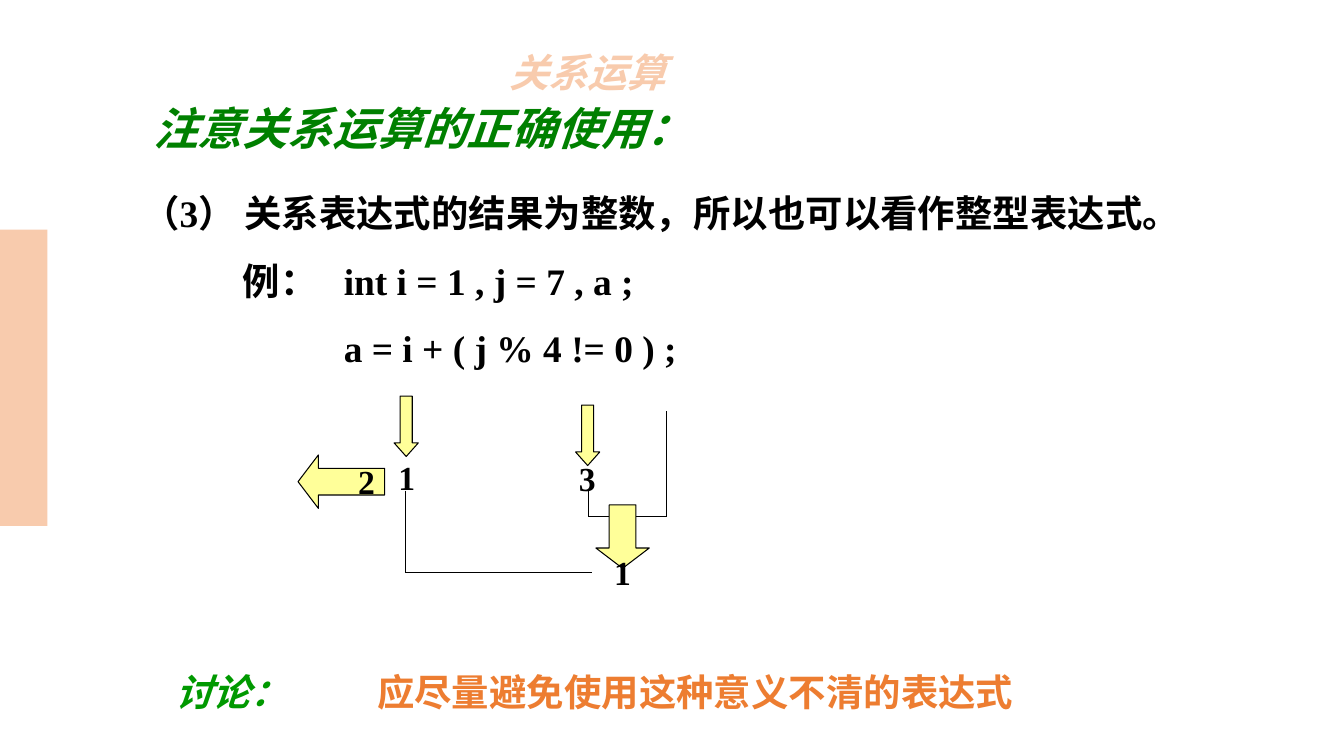
from dataclasses import dataclass, field

from lxml import etree
from pptx import Presentation
from pptx import util as u
from pptx.dml.color import RGBColor
from pptx.enum import shapes, text
from pptx.oxml import ns

COLORS = {
    "green": "008000", "bright_green": "009900", "orange": "ED7D31",
    "peach": "F8CBAD", "yellow": "FFFF99", "black": "000000",
}
CJK_FONT = "Noto Sans CJK SC"
LATIN_FONT = "Times New Roman"
COLUMNS = 40
SLIDE_WIDTH = u.Inches(13.33)
SLIDE_HEIGHT = u.Inches(7.5)
CELL = SLIDE_WIDTH / COLUMNS
TAB_STOPS = (1, 2)
THIN_LINE = u.Pt(0.75)


@dataclass
class Box:
    column: float
    row: float
    columns: float
    rows: float


@dataclass
class Words:
    content: str
    size: float
    color: str
    font: str = LATIN_FONT
    italic: bool = False


@dataclass
class TextBlock:
    box: Box
    paragraphs: list[list[Words]]
    spacing: float = 1.0
    wrap: bool = True
    align: text.PP_ALIGN = text.PP_ALIGN.LEFT
    tabs: tuple[float, ...] = field(default=())


@dataclass
class Arrow:
    box: Box
    head: float
    rotation: float = 0


@dataclass
class Line:
    column: float
    row: float
    end_column: float
    end_row: float


def grid(cells: float) -> int:
    return round(cells * CELL)


def place(box: Box) -> tuple[int, int, int, int]:
    return grid(box.column), grid(box.row), grid(box.columns), grid(box.rows)


def centred(middle: float, row: float, columns: float, rows: float) -> Box:
    return Box(middle - columns / 2, row, columns, rows)


def apply(target, values: dict) -> None:
    for name, value in values.items():
        setattr(target, name, value)


def color(name: str) -> RGBColor:
    return RGBColor.from_string(COLORS[name])


def add_run(paragraph, words: Words):
    run = paragraph.add_run()
    run.text = words.content
    apply(run.font, {"name": words.font, "size": u.Pt(words.size),
                     "bold": True, "italic": words.italic})
    run.font.color.rgb = color(words.color)
    east_asian = etree.SubElement(run._r.get_or_add_rPr(), ns.qn("a:ea"))
    east_asian.set("typeface", CJK_FONT)
    return run


def add_tabs(paragraph, stops: tuple[float, ...]) -> None:
    tab_list = etree.SubElement(paragraph._p.get_or_add_pPr(), ns.qn("a:tabLst"))
    for stop in stops:
        tab = etree.SubElement(tab_list, ns.qn("a:tab"))
        tab.set("pos", str(u.Inches(stop)))
        tab.set("algn", "l")


def add_title(slide, box: Box, words: Words, outline: str) -> None:
    title = slide.shapes.title
    apply(title, dict(zip(("left", "top", "width", "height"), place(box))))
    apply(title.text_frame, {"vertical_anchor": text.MSO_ANCHOR.MIDDLE,
                             "auto_size": text.MSO_AUTO_SIZE.NONE,
                             "word_wrap": True})
    paragraph = title.text_frame.paragraphs[0]
    apply(paragraph, {"alignment": text.PP_ALIGN.LEFT, "line_spacing": 0.9})
    run = add_run(paragraph, words)
    line = etree.Element(ns.qn("a:ln"), w=str(u.Pt(1.75)))
    fill = etree.SubElement(line, ns.qn("a:solidFill"))
    etree.SubElement(fill, ns.qn("a:srgbClr")).set("val", COLORS[outline])
    run._r.get_or_add_rPr().insert(0, line)


def add_text(slide, block: TextBlock) -> None:
    frame = slide.shapes.add_textbox(*place(block.box)).text_frame
    apply(frame, {
        "word_wrap": block.wrap,
        "auto_size": text.MSO_AUTO_SIZE.SHAPE_TO_FIT_TEXT,
        "vertical_anchor": text.MSO_ANCHOR.MIDDLE,
        "margin_left": u.Inches(0.13), "margin_right": u.Inches(0.13),
        "margin_top": u.Inches(0.07), "margin_bottom": u.Inches(0.07),
    })
    for index, runs in enumerate(block.paragraphs):
        paragraph = frame.add_paragraph() if index else frame.paragraphs[0]
        apply(paragraph, {"alignment": block.align, "line_spacing": block.spacing})
        if block.tabs:
            add_tabs(paragraph, block.tabs)
        for words in runs:
            add_run(paragraph, words)


def add_filled(slide, kind: shapes.MSO_SHAPE, box: Box, fill: str):
    shape = slide.shapes.add_shape(kind, *place(box))
    shape.shadow.inherit = False
    shape.fill.solid()
    shape.fill.fore_color.rgb = color(fill)
    return shape


def add_arrow(slide, arrow: Arrow) -> None:
    shape = add_filled(slide, shapes.MSO_SHAPE.DOWN_ARROW, arrow.box, "yellow")
    shape.rotation = arrow.rotation
    shape.adjustments[0] = 0.5
    shape.adjustments[1] = arrow.head
    shape.line.color.rgb = color("black")
    shape.line.width = THIN_LINE


def add_line(slide, line: Line) -> None:
    connector = slide.shapes.add_connector(
        shapes.MSO_CONNECTOR.STRAIGHT, grid(line.column), grid(line.row),
        grid(line.end_column), grid(line.end_row))
    connector.line.color.rgb = color("black")
    connector.line.width = THIN_LINE
    etree.SubElement(connector._element.spPr, ns.qn("a:effectLst"))


def digit(content: str, middle: float, row: float) -> TextBlock:
    return TextBlock(centred(middle, row, 1.29, 1.62),
                     [[Words(content, 24, "black")]],
                     wrap=False, align=text.PP_ALIGN.CENTER)


TEXTS = [
    TextBlock(Box(4.17, 2.79, 17.01, 2.04),
              [[Words("注意关系运算的正确使用：", 32, "green", CJK_FONT, True)]]),
    TextBlock(Box(3.84, 4.89, 31.32, 6.24),
              [[Words(content, 26.7, "black")] for content in (
                  "（3） 关系表达式的结果为整数，所以也可以看作整型表达式。",
                  "\t例：\tint i = 1 , j = 7 , a ;",
                  "\t\ta = i + ( j % 4 != 0 ) ;")],
              spacing=1.5, tabs=TAB_STOPS),
    TextBlock(Box(4.83, 18.6, 25.98, 2.67),
              [[Words("讨论：\t", 26.7, "bright_green", italic=True),
                Words("应尽量避免使用这种意义不清的表达式", 26.7, "orange")]],
              spacing=2.0, wrap=False, tabs=TAB_STOPS),
]
DIGITS = [digit("3", 17.48, 13.41), digit("1", 18.53, 16.23),
          digit("2", 10.91, 13.5), digit("1", 12.11, 13.38)]
LINES = [Line(17.52, 14.61, 17.52, 15.39), Line(19.83, 12.24, 19.83, 15.39),
         Line(17.52, 15.39, 19.83, 15.39), Line(12.06, 14.61, 12.06, 17.04),
         Line(12.06, 17.04, 17.61, 17.04)]
ARROWS = [Arrow(centred(17.49, 12.06, 0.72, 1.8), 0.56),
          Arrow(centred(12.09, 11.79, 0.72, 1.8), 0.56),
          Arrow(centred(18.53, 15.03, 1.59, 1.89), 0.38),
          Arrow(centred(10.16, 13.05, 1.59, 2.58), 0.38, 90)]


def main() -> None:
    presentation = Presentation()
    apply(presentation, {"slide_width": SLIDE_WIDTH, "slide_height": SLIDE_HEIGHT})
    slide = presentation.slides.add_slide(presentation.slide_layouts[5])
    add_title(slide, Box(14.85, 1.35, 10.74, 1.74),
              Words("关系运算", 28, "peach", CJK_FONT, True), "orange")
    side_bar = add_filled(slide, shapes.MSO_SHAPE.RECTANGLE,
                          Box(0, 6.84, 1.41, 8.82), "peach")
    side_bar.line.fill.background()
    for draw, items in ((add_text, TEXTS), (add_line, LINES),
                        (add_arrow, ARROWS), (add_text, DIGITS)):
        for item in items:
            draw(slide, item)
    presentation.save("out.pptx")


if __name__ == "__main__":
    main()
